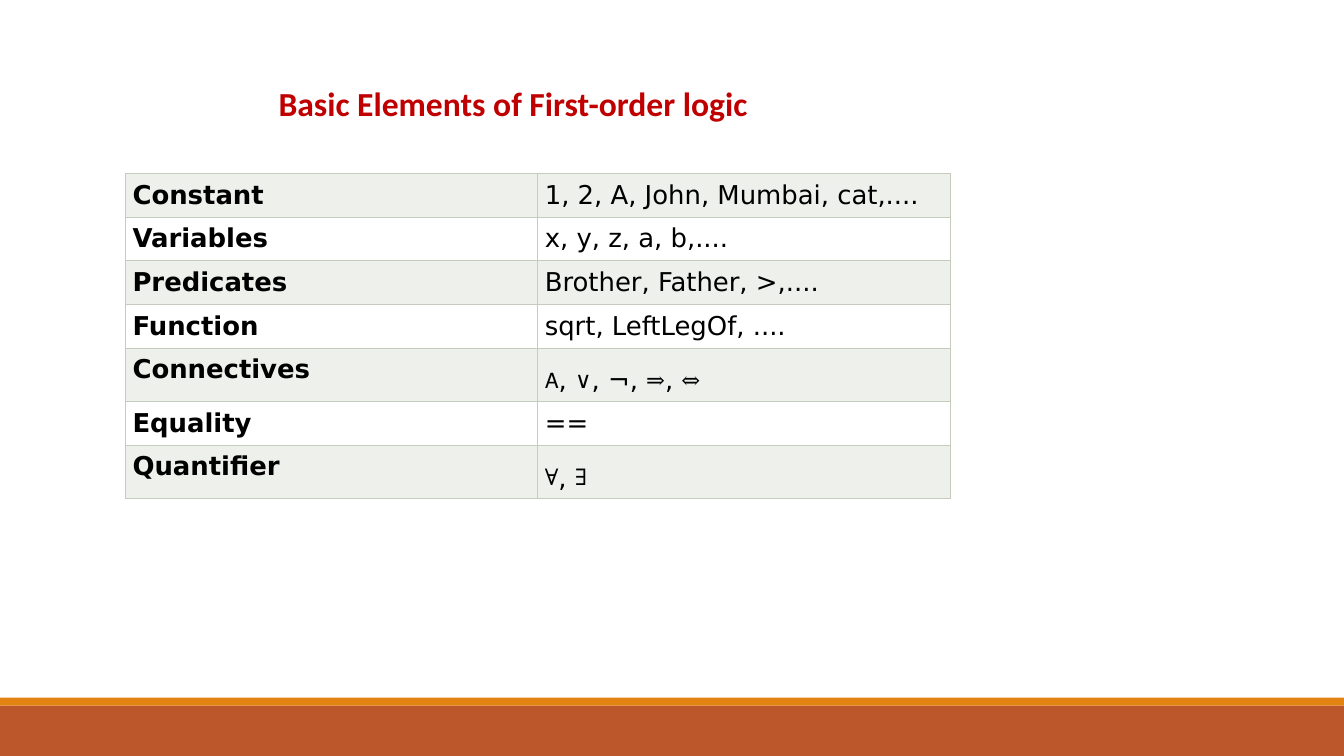
from dataclasses import dataclass

from pptx import Presentation
from pptx.dml.color import RGBColor
from pptx.enum.shapes import MSO_SHAPE
from pptx.oxml import parse_xml
from pptx.oxml.ns import nsdecls
from pptx.util import Cm, Pt


@dataclass(frozen=True)
class Theme:
    title: str = "C00000"
    text: str = "000000"
    footer: str = "BC572C"
    stripe: str = "E38312"
    shaded: str = "EEF0EB"
    plain: str = "FFFFFF"
    border: str = "C6CCBD"
    title_size: float = 24
    body_size: float = 18.5
    symbol_size: float = 27.8
    title_font: str = "Calibri"
    body_font: str = "DejaVu Sans"
    symbol_font: str = "Cambria"


THEME = Theme()
SYMBOLS = "𝖠∨⇒⇔∀∃"
ELEMENTS = [
    ("Constant", "1, 2, A, John, Mumbai, cat,...."),
    ("Variables", "x, y, z, a, b,...."),
    ("Predicates", "Brother, Father, >,...."),
    ("Function", "sqrt, LeftLegOf, ...."),
    ("Connectives", "𝖠, ∨, ¬, ⇒, ⇔"),
    ("Equality", "=="),
    ("Quantifier", "∀, ∃"),
]


def set_all(target, values):
    for name, value in values.items():
        setattr(target, name, value)


def add_span(para, text, font, size, color, bold=False):
    span = para.add_run()
    span.text = text
    set_all(span.font, {"name": font, "size": Pt(size), "bold": bold})
    span.font.color.rgb = RGBColor.from_string(color)
    return span


def add_band(page, top, height, color):
    band = page.shapes.add_shape(MSO_SHAPE.RECTANGLE, 0, Cm(top), Cm(33.87), Cm(height))
    band.shadow.inherit = False
    band.fill.solid()
    band.fill.fore_color.rgb = RGBColor.from_string(color)
    band.line.fill.background()


def add_title(page, text):
    box = page.shapes.add_textbox(Cm(6.99), Cm(2.06), Cm(11.89), Cm(1.09))
    set_all(box.text_frame, {
        "word_wrap": True, "margin_left": Cm(0.03), "margin_top": Cm(0.03),
        "margin_right": 0, "margin_bottom": 0,
    })
    para = box.text_frame.paragraphs[0]
    para.space_before = Pt(1.1)
    add_span(para, text, THEME.title_font, THEME.title_size, THEME.title, True)


def add_borders(cell):
    properties = cell._tc.get_or_add_tcPr()
    for position, side in enumerate(("lnL", "lnR", "lnT", "lnB")):
        properties.insert(position, parse_xml(
            f'<a:{side} {nsdecls("a")} w="{Pt(0.75)}"><a:solidFill>'
            f'<a:srgbClr val="{THEME.border}"/></a:solidFill></a:{side}>'))


def fill_cell(cell, text, color, bold):
    set_all(cell, {
        "margin_left": Cm(0.18), "margin_top": Cm(0.17),
        "margin_right": 0, "margin_bottom": 0,
    })
    cell.fill.solid()
    cell.fill.fore_color.rgb = RGBColor.from_string(color)
    add_borders(cell)
    para = cell.text_frame.paragraphs[0]
    para.space_before = Pt(5)
    pieces = [text]
    if any(letter in SYMBOLS for letter in text):
        pieces = text.replace(", ", "\t, \t").split("\t")
    for piece in pieces:
        if piece in SYMBOLS:
            span = add_span(para, piece, THEME.symbol_font, THEME.symbol_size, THEME.text)
            span.font._element.set("baseline", "3000")
        else:
            add_span(para, piece, THEME.body_font, THEME.body_size, THEME.text, bold)


def add_elements_table(page):
    row_height = Cm(1.1)
    frame = page.shapes.add_table(
        len(ELEMENTS), 2, Cm(3.16), Cm(4.37), Cm(20.78), row_height * len(ELEMENTS))
    table = frame.table
    set_all(table, {"first_row": False, "horz_banding": False})
    for index, element in enumerate(ELEMENTS):
        table.rows[index].height = row_height
        color = THEME.plain if index % 2 else THEME.shaded
        for column, text in enumerate(element):
            fill_cell(table.cell(index, column), text, color, column == 0)


def main():
    deck = Presentation()
    set_all(deck, {"slide_width": Cm(33.87), "slide_height": Cm(19.05)})
    page = deck.slides.add_slide(deck.slide_layouts[6])
    add_band(page, 17.78, 1.27, THEME.footer)
    add_band(page, 17.58, 0.2, THEME.stripe)
    add_title(page, "Basic Elements of First-order logic")
    add_elements_table(page)
    deck.save("out.pptx")


if __name__ == "__main__":
    main()
